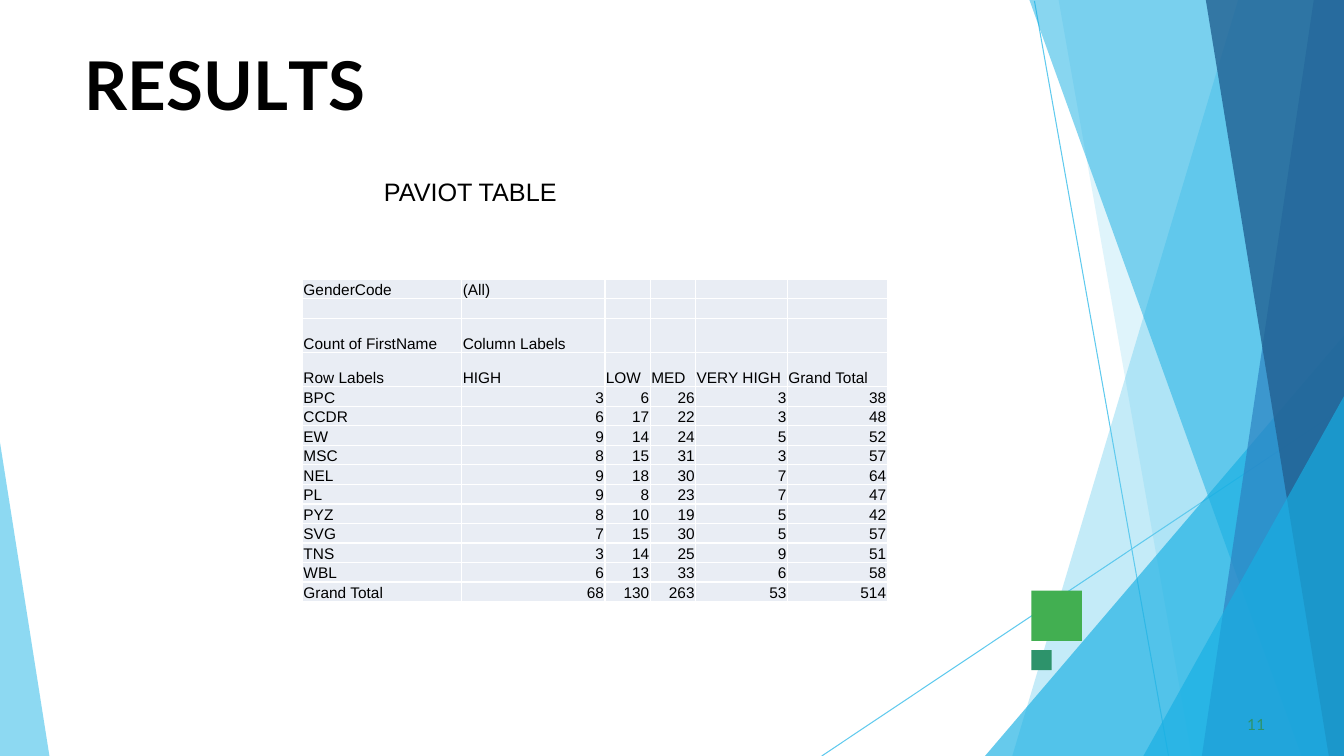
from lxml import etree
from pptx import Presentation
from pptx.dml.color import RGBColor
from pptx.enum.shapes import MSO_CONNECTOR, MSO_SHAPE
from pptx.enum.text import MSO_ANCHOR, MSO_AUTO_SIZE, PP_ALIGN
from pptx.oxml.ns import qn
from pptx.util import Inches, Pt

STRAIGHT = MSO_CONNECTOR.STRAIGHT
RECTANGLE = MSO_SHAPE.RECTANGLE
BOTTOM = MSO_ANCHOR.BOTTOM
RIGHT = PP_ALIGN.RIGHT
FIT = MSO_AUTO_SIZE.SHAPE_TO_FIT_TEXT

W, H = 13.33, 7.5

THEME = {
    "sky": "5FCAEE", "cyan": "17AFE3", "blue": "2D83C3", "navy": "226192",
    "green": "42AF51", "teal": "2D936B", "black": "000000",
    "cell": "E9EDF4", "border": "FFFFFF",
    "heading_font": "Lato", "body_font": "Arial",
    "title": 48, "subtitle": 18, "small": 11,
}

TITLE = [("R", 0), ("E", -0.4), ("S", 0.1), ("U", -0.3), ("L", -4.1), ("TS", 0)]
SUBTITLE = [("PAVIOT TABLE", 0)]
SLIDE_NUMBER = [("11", 0.1)]

PIVOT = [
    ("GenderCode", "(All)", "", "", "", ""),
    ("", "", "", "", "", ""),
    ("Count of FirstName", "Column Labels", "", "", "", ""),
    ("Row Labels", "HIGH", "LOW", "MED", "VERY HIGH", "Grand Total"),
    ("BPC", 3, 6, 26, 3, 38),
    ("CCDR", 6, 17, 22, 3, 48),
    ("EW", 9, 14, 24, 5, 52),
    ("MSC", 8, 15, 31, 3, 57),
    ("NEL", 9, 18, 30, 7, 64),
    ("PL", 9, 8, 23, 7, 47),
    ("PYZ", 8, 10, 19, 5, 42),
    ("SVG", 7, 15, 30, 5, 57),
    ("TNS", 3, 14, 25, 9, 51),
    ("WBL", 6, 13, 33, 6, 58),
    ("Grand Total", 68, 130, 263, 53, 514),
]
PIVOT_LEFT, PIVOT_TOP, PIVOT_HEIGHT = 3, 2.77, 3.19
COL_WIDTHS = [1.58, 1.42, 0.45, 0.45, 0.91, 0.99]
TALL_ROWS, TALL_HEIGHT = (2, 3), 0.34

RAYS = [(10.26, 0.01, 11.59, H), (W, 4.04, 8.15, H)]

FACETS = [
    ("sky", 37, [(W, 0), (12.28, 0), (10.04, H), (W, H)]),
    ("sky", 20, [(W, 0), (10.5, 0), (11.82, H), (W, H)]),
    ("cyan", 66, [(W, 3.33), (9.77, H), (W, H)]),
    ("cyan", 51, [(W, 0), (10.21, 0), (12.91, H), (W, H)]),
    ("blue", 71, [(W, 0), (13.03, 0), (11.92, H), (W, H)]),
    ("navy", 80, [(W, 0), (11.96, 0), (13.18, H), (W, H)]),
    ("cyan", 66, [(W, 3.93), (11.34, H), (W, H)]),
    ("sky", 71, [(0, 4.39), (0, H), (0.49, H)]),
]

SQUARES = [("green", 10.23, 5.86, 0.5), ("teal", 10.23, 6.45, 0.2)]


def color(name):
    return RGBColor.from_string(THEME[name])


def paint(sp, name):
    sp.shadow.inherit = False
    sp.fill.solid()
    sp.fill.fore_color.rgb = color(name)
    sp.line.fill.background()


def add_ray(s, x1, y1, x2, y2):
    ray = s.shapes.add_connector(STRAIGHT, *map(Inches, (x1, y1, x2, y2)))
    ray.line.color.rgb = color("sky")
    ray.line.width = Pt(0.75)
    etree.SubElement(ray._element.spPr, qn("a:effectLst"))


def add_facet(s, name, opacity, points):
    start, *rest = [(Inches(x), Inches(y)) for x, y in points]
    builder = s.shapes.build_freeform(*start)
    builder.add_line_segments(rest, close=True)
    sp = builder.convert_to_shape()
    paint(sp, name)
    rgb = sp._element.spPr.find(".//" + qn("a:srgbClr"))
    etree.SubElement(rgb, qn("a:alpha"), val=str(opacity * 1000))


def add_text(s, box, pieces, size, font, ink, bold=False, insets=None, before=0):
    tf = s.shapes.add_textbox(*map(Inches, box)).text_frame
    tf.word_wrap = True
    tf.auto_size = FIT
    if insets:
        tf.margin_left, tf.margin_top, tf.margin_right, tf.margin_bottom = map(Inches, insets)
    p = tf.paragraphs[0]
    p.space_before = Pt(before)
    for text, spacing in pieces:
        r = p.add_run()
        r.text = text
        r.font.size = Pt(THEME[size])
        r.font.name = THEME[font]
        r.font.bold = bold
        r.font.color.rgb = color(ink)
        r._r.get_or_add_rPr().set("spc", str(round(spacing * 100)))


def add_borders(cell):
    tcPr = cell._tc.get_or_add_tcPr()
    for i, side in enumerate(("lnL", "lnR", "lnT", "lnB")):
        ln = etree.Element(qn("a:" + side), w=str(Pt(1)))
        fill = etree.SubElement(ln, qn("a:solidFill"))
        etree.SubElement(fill, qn("a:srgbClr"), val=THEME["border"])
        tcPr.insert(i, ln)


def fill_cell(cell, value):
    cell.fill.solid()
    cell.fill.fore_color.rgb = color("cell")
    add_borders(cell)
    cell.vertical_anchor = BOTTOM
    cell.margin_left = cell.margin_right = cell.margin_top = Inches(0.01)
    cell.margin_bottom = 0
    cell.text_frame.text = str(value)
    p = cell.text_frame.paragraphs[0]
    if isinstance(value, int):
        p.alignment = RIGHT
    for r in p.runs:
        r.font.size = Pt(THEME["small"])
        r.font.name = THEME["body_font"]
        r.font.color.rgb = color("black")
    if not p.runs:
        etree.SubElement(p._p, qn("a:endParaRPr"), sz=str(THEME["small"] * 100))


def add_pivot(s):
    box = (PIVOT_LEFT, PIVOT_TOP, sum(COL_WIDTHS), PIVOT_HEIGHT)
    table = s.shapes.add_table(len(PIVOT), len(COL_WIDTHS), *map(Inches, box)).table
    table.first_row = table.horz_banding = False
    for col, width in zip(table.columns, COL_WIDTHS):
        col.width = Inches(width)
    tall = len(TALL_ROWS)
    short_height = (PIVOT_HEIGHT - tall * TALL_HEIGHT) / (len(PIVOT) - tall)
    for i, values in enumerate(PIVOT):
        table.rows[i].height = Inches(TALL_HEIGHT if i in TALL_ROWS else short_height)
        for j, value in enumerate(values):
            fill_cell(table.cell(i, j), value)


def main():
    prs = Presentation()
    prs.slide_width, prs.slide_height = Inches(W), Inches(H)
    s = prs.slides.add_slide(prs.slide_layouts[6])
    for ray in RAYS:
        add_ray(s, *ray)
    for facet in FACETS:
        add_facet(s, *facet)
    for name, x, y, side in SQUARES:
        paint(s.shapes.add_shape(RECTANGLE, *map(Inches, (x, y, side, side))), name)
    add_text(s, (0.83, 0.42, 3.11, 0.81), TITLE, "title", "heading_font", "black",
             bold=True, insets=(0.01, 0.01, 0, 0), before=1.1)
    add_text(s, (12.33, 7.08, 0.25, 0.19), SLIDE_NUMBER, "small", "heading_font", "teal",
             insets=(0.04, 0.01, 0, 0), before=0.5)
    add_text(s, (3.71, 1.7, 2.5, 0.4), SUBTITLE, "subtitle", "body_font", "black")
    add_pivot(s)
    prs.save("out.pptx")


if __name__ == "__main__":
    main()
